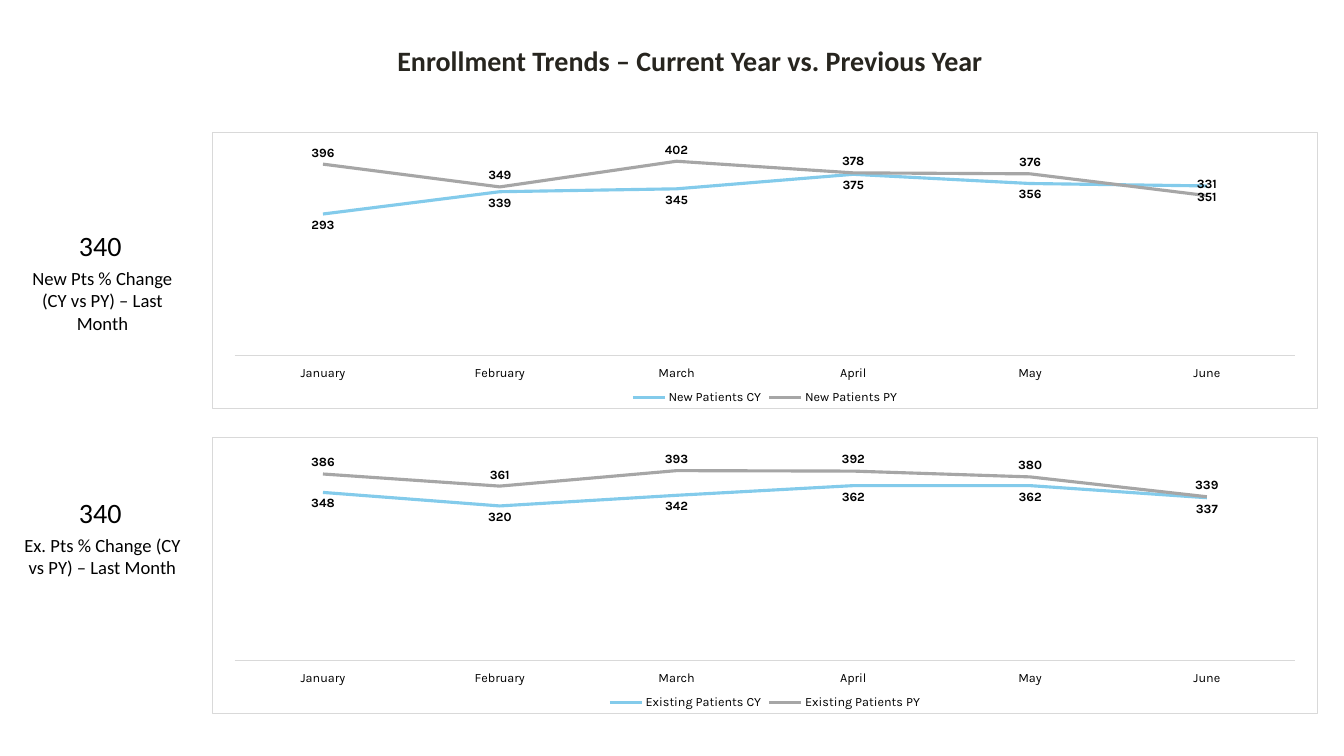
from lxml import etree
from pptx import Presentation
from pptx.chart.data import CategoryChartData as ChartData
from pptx.dml.color import RGBColor as Rgb
from pptx.enum.chart import XL_CHART_TYPE as ChartType
from pptx.enum.chart import XL_LABEL_POSITION as LabelPos
from pptx.enum.chart import XL_LEGEND_POSITION as LegendPos
from pptx.enum.chart import XL_TICK_LABEL_POSITION as TickLabelPos
from pptx.enum.chart import XL_TICK_MARK as TickMark
from pptx.enum.text import MSO_AUTO_SIZE as AutoSize
from pptx.enum.text import PP_ALIGN as Align
from pptx.oxml import parse_xml
from pptx.oxml.ns import nsdecls
from pptx.util import Pt

PX = 914400 / 100.8
COLORS = {"title": "27251F", "text": "000000", "rule": "D9D9D9",
          "CY": "83CBEB", "PY": "A6A6A6"}
MONTHS = ["January", "February", "March", "April", "May", "June"]
LABEL_SIDES = {"CY": LabelPos.BELOW, "PY": LabelPos.ABOVE}


def px(length):
    return round(length * PX)


def add_text(page, text, left, top, width, height, size, color="text",
             bold=False, align=Align.CENTER):
    box = page.shapes.add_textbox(px(left), px(top), px(width), px(height))
    frame = box.text_frame
    frame.word_wrap = True
    frame.auto_size = AutoSize.SHAPE_TO_FIT_TEXT
    frame.margin_left = frame.margin_right = px(8)
    frame.margin_top = frame.margin_bottom = px(4)
    frame.text = text
    para = frame.paragraphs[0]
    para.alignment = align
    font = para.runs[0].font
    font.name, font.size, font.bold = "Calibri", Pt(size), bold
    font.color.rgb = Rgb.from_string(COLORS[color])


deck = Presentation()
deck.slide_width, deck.slide_height = px(1344), px(756)
page = deck.slides.add_slide(deck.slide_layouts[6])

# Title
add_text(page, "Enrollment Trends – Current Year vs. Previous Year",
         330, 40, 720, 42, 20, color="title", bold=True)

# One row per patient group: key figure, caption, line chart
rows = [
    ("New Patients", "New Pts % Change (CY vs PY) – Last Month", 224, 77, 132,
     {"CY": [293, 339, 345, 375, 356, 351],
      "PY": [396, 349, 402, 378, 376, 331]}),
    ("Existing Patients", "Ex. Pts % Change (CY vs PY) – Last Month", 491, 53, 437,
     {"CY": [348, 320, 342, 362, 362, 337],
      "PY": [386, 361, 393, 392, 380, 339]}),
]
for group, caption, figure_top, caption_height, chart_top, counts in rows:
    add_text(page, "340", 71, figure_top, 65, 39, 20, align=Align.LEFT)
    add_text(page, caption, 10, figure_top + 39, 185, caption_height, 13.3)

    data = ChartData()
    data.categories = MONTHS
    for year, values in counts.items():
        data.add_series(f"{group} {year}", values)
    chart = page.shapes.add_chart(ChartType.LINE, px(212), px(chart_top),
                                  px(1106), px(277), data).chart
    chart.has_title = False
    chart.font.name, chart.font.size = "Karla", Pt(9)
    chart.font.color.rgb = Rgb.from_string(COLORS["text"])

    # Legend
    chart.has_legend = True
    chart.legend.position = LegendPos.BOTTOM
    chart.legend.include_in_layout = False

    # Axes
    months = chart.category_axis
    months.major_tick_mark = months.minor_tick_mark = TickMark.NONE
    months.tick_label_position = TickLabelPos.LOW
    months.format.line.color.rgb = Rgb.from_string(COLORS["rule"])
    months.format.line.width = Pt(0.75)
    scale = chart.value_axis
    scale.minimum_scale, scale.maximum_scale = 0, 450
    scale.has_major_gridlines = False
    scale.visible = False

    # Lines and value labels
    for year, series in zip(counts, chart.plots[0].series):
        series.smooth = False
        series.format.line.color.rgb = Rgb.from_string(COLORS[year])
        series.format.line.width = Pt(2.25)
        labels = series.data_labels
        labels.show_value = True
        labels.position = LABEL_SIDES[year]
        labels.font.name, labels.font.size, labels.font.bold = "Karla", Pt(9), True
        labels.font.color.rgb = Rgb.from_string(COLORS["text"])

    # Plot area position, as shares of the chart
    plot_area = chart.plots[0]._element.getparent()
    for old_layout in plot_area.findall("{*}layout"):
        plot_area.remove(old_layout)
    layout = parse_xml(f'<c:layout {nsdecls("c")}><c:manualLayout/></c:layout>')
    for tag, value in [("layoutTarget", "inner"), ("xMode", "edge"), ("yMode", "edge"),
                       ("x", "0.02"), ("y", "0.02"), ("w", "0.96"), ("h", "0.79")]:
        etree.SubElement(layout[0], f"{{{layout.nsmap['c']}}}{tag}", val=value)
    plot_area.insert(0, layout)

    # Chart border
    border = parse_xml(
        f'<c:spPr {nsdecls("c", "a")}><a:noFill/><a:ln w="{Pt(0.75)}"><a:solidFill>'
        f'<a:srgbClr val="{COLORS["rule"]}"/></a:solidFill></a:ln></c:spPr>')
    chart._chartSpace.find("{*}chart").addnext(border)

deck.save("out.pptx")
